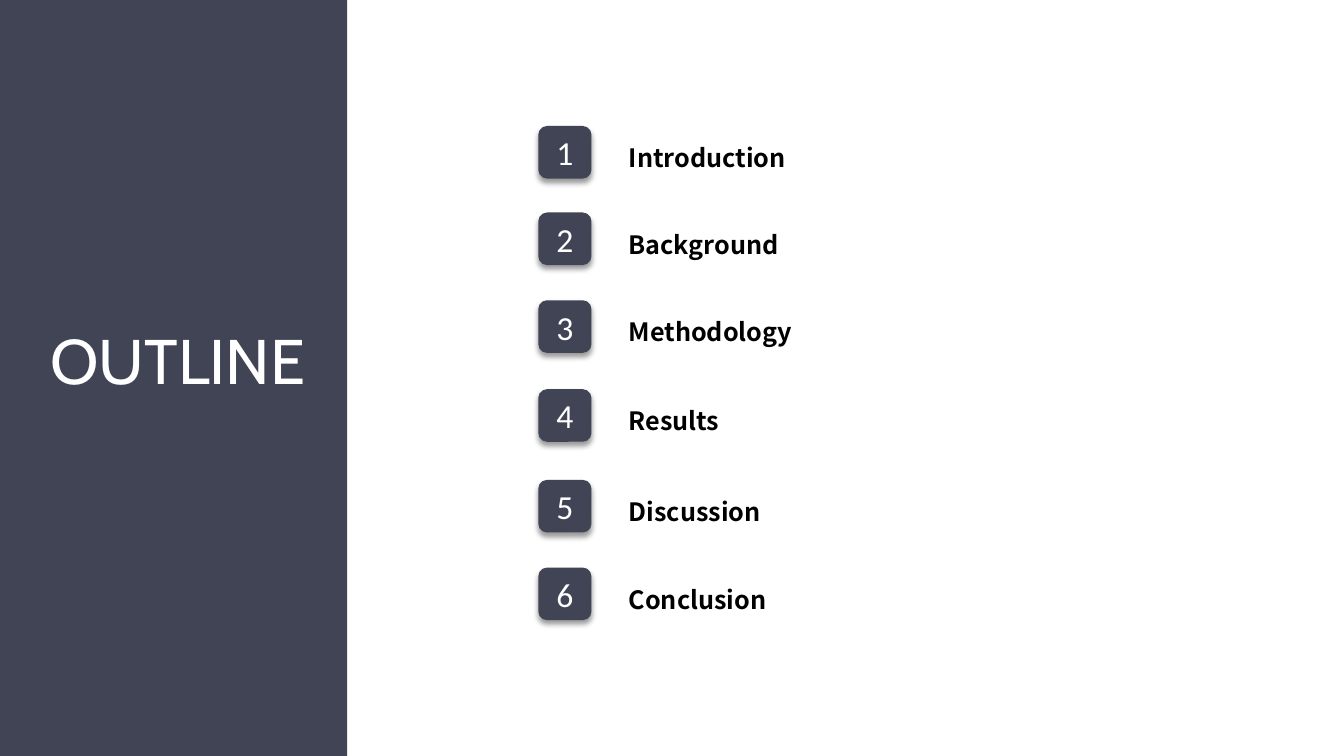
import pptx
import pptx.util
import pptx.dml.color
import pptx.enum.shapes
import pptx.enum.text
import pptx.oxml
import pptx.oxml.ns

Pt = pptx.util.Pt
RGBColor = pptx.dml.color.RGBColor
MSO_SHAPE = pptx.enum.shapes.MSO_SHAPE
MSO_ANCHOR = pptx.enum.text.MSO_ANCHOR
MSO_AUTO_SIZE = pptx.enum.text.MSO_AUTO_SIZE
PP_ALIGN = pptx.enum.text.PP_ALIGN

TITLE = "OUTLINE"
SECTIONS = [
    ("Introduction", 90, 133.2),
    ("Background", 151.8, 124.6),
    ("Methodology", 214.5, 139),
    ("Results", 278, 80),
    ("Discussion", 342.8, 111.6),
    ("Conclusion", 405.4, 119.5),
]

SLATE = RGBColor(0x41, 0x44, 0x55)
WHITE = RGBColor(0xFF, 0xFF, 0xFF)
BLACK = RGBColor(0x00, 0x00, 0x00)

SLIDE_W, SLIDE_H = 960, 540
PANEL_W = 248
BADGE_X, BADGE_W, BADGE_H = 384.5, 38, 37.6
LABEL_X, LABEL_DROP, LABEL_H = 442, 8.2, 29

SHADOW = (
    '<a:effectLst %s><a:outerShdw blurRad="%d" dist="%d" dir="5400000" rotWithShape="0">'
    '<a:srgbClr val="000000"><a:alpha val="40000"/></a:srgbClr>'
    '</a:outerShdw></a:effectLst>'
    % (pptx.oxml.ns.nsdecls("a"), Pt(4), Pt(3))
)


def add_block(s, shape, x, y, w, h):
    sp = s.shapes.add_shape(shape, Pt(x), Pt(y), Pt(w), Pt(h))
    sp.shadow.inherit = False
    sp.fill.solid()
    sp.fill.fore_color.rgb = SLATE
    sp.line.fill.background()
    return sp


def set_text(tf, text, size, font, color, bold=False):
    tf.text = text
    r = tf.paragraphs[0].runs[0]
    r.font.size = Pt(size)
    r.font.name = font
    r.font.color.rgb = color
    r.font.bold = bold


def add_label(s, text, x, y, w, h, size, font, color, bold=False, wrap=False):
    tf = s.shapes.add_textbox(Pt(x), Pt(y), Pt(w), Pt(h)).text_frame
    tf.word_wrap = wrap
    tf.auto_size = MSO_AUTO_SIZE.SHAPE_TO_FIT_TEXT
    set_text(tf, text, size, font, color, bold)


def add_badge(s, number, y):
    sp = add_block(s, MSO_SHAPE.ROUNDED_RECTANGLE, BADGE_X, y, BADGE_W, BADGE_H)
    sppr = sp.element.spPr
    sppr.replace(sppr.find(pptx.oxml.ns.qn("a:effectLst")), pptx.oxml.parse_xml(SHADOW))
    tf = sp.text_frame
    tf.vertical_anchor = MSO_ANCHOR.MIDDLE
    set_text(tf, str(number), 24, "Calibri", WHITE)
    tf.paragraphs[0].alignment = PP_ALIGN.CENTER


def main():
    prs = pptx.Presentation()
    prs.slide_width, prs.slide_height = Pt(SLIDE_W), Pt(SLIDE_H)
    s = prs.slides.add_slide(prs.slide_layouts[6])

    add_block(s, MSO_SHAPE.RECTANGLE, 0, 0, PANEL_W, SLIDE_H)
    add_label(s, TITLE, 29, 226, 201.6, 62, 45, "Cabin", WHITE, wrap=True)

    for number, (name, y, width) in enumerate(SECTIONS, 1):
        add_badge(s, number, y)
        add_label(s, name, LABEL_X, y + LABEL_DROP, width, LABEL_H,
                  18, "Noto Sans CJK SC", BLACK, bold=True)

    prs.save("out.pptx")


if __name__ == "__main__":
    main()
